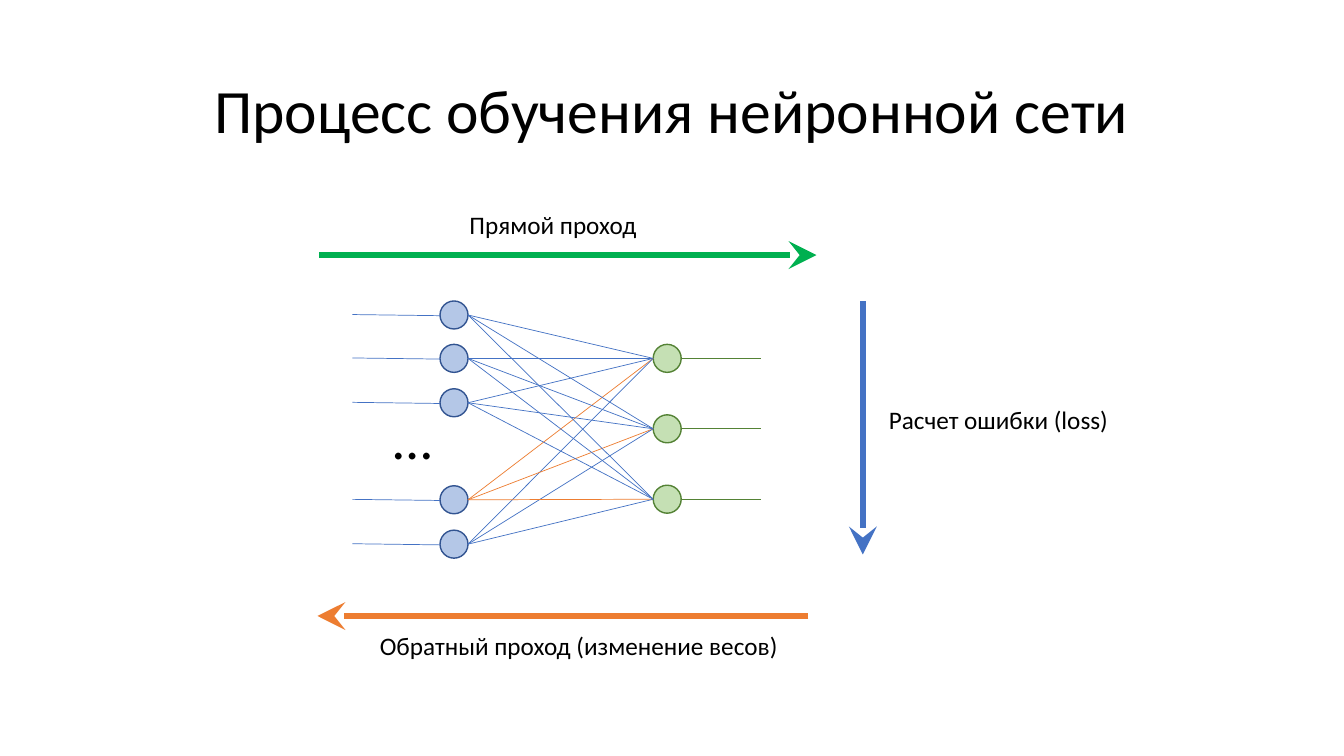
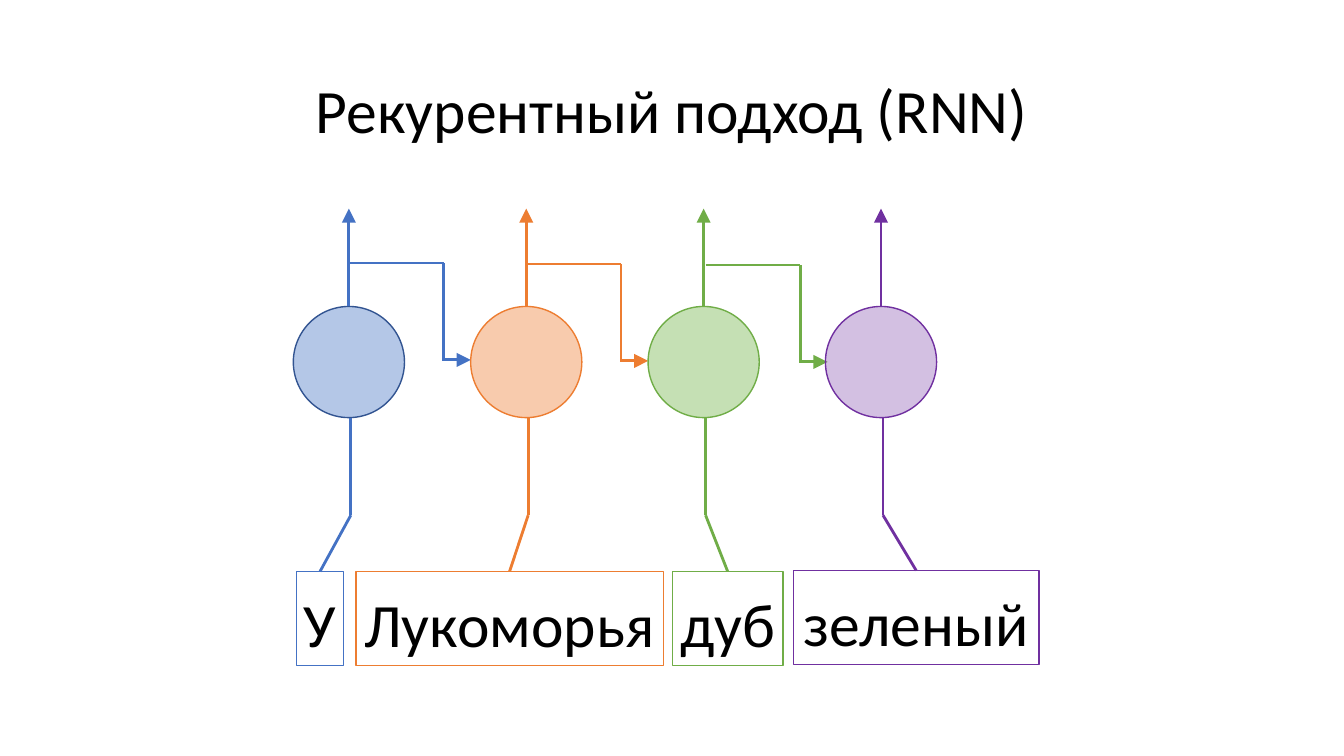
from dataclasses import dataclass
from typing import Any

from lxml.etree import SubElement as Sub
from pptx import Presentation as Deck
from pptx.dml.color import RGBColor as Rgb
from pptx.enum.shapes import MSO_CONNECTOR as Link, MSO_SHAPE as Kind
from pptx.enum.text import MSO_ANCHOR as Anchor, MSO_AUTO_SIZE as Fit, PP_ALIGN as Align
from pptx.oxml.ns import qn
from pptx.util import Inches, Pt

WIDE, HIGH = Inches(13.333), Inches(7.5)
COLS, ROWS = 96, 54


@dataclass(frozen=True)
class Theme:
    """Colours, font and type sizes."""

    font: str = "Calibri"
    ink: str = "000000"
    blue: str = "4472C4"
    navy: str = "325491"
    sky: str = "B4C7E7"
    orange: str = "ED7D31"
    peach: str = "F8CBAD"
    green: str = "70AD47"
    moss: str = "548235"
    mint: str = "C5E0B4"
    go: str = "00B050"
    purple: str = "7030A0"
    big: int = 44
    dots: int = 40
    small: int = 18


@dataclass(frozen=True)
class Box:
    """A place in grid columns and rows."""

    x: float
    y: float
    w: float
    h: float

    def emu(self) -> tuple[int, int, int, int]:
        """Return left, top, width and height in EMU."""
        return col(self.x), row(self.y), col(self.w), row(self.h)


@dataclass(frozen=True)
class Pass:
    """A training phase: a thick arrow and its label."""

    text: str
    start: tuple[float, float]
    end: tuple[float, float]
    tone: str
    label: Box
    wrap: bool = False


@dataclass(frozen=True)
class Cell:
    """A recurrent cell with the word it reads."""

    word: str
    tone: str
    edge: str
    fill: str
    box: Box
    alpha: int = 100
    shift: float = 0


T = Theme()

PASSES = (
    Pass("Прямой проход", (22.82, 18.22), (58.32, 18.22), T.go, Box(32.83, 14.62, 13.54, 2.88)),
    Pass("Обратный проход (изменение весов)", (57.74, 44), (22.68, 44), T.orange,
         Box(26.42, 44.64, 30.24, 2.88)),
    Pass("Расчет ошибки (loss)", (61.63, 21.53), (61.63, 39.6), T.blue,
         Box(62.78, 28.5, 17.5, 2.88), True),
)

CELLS = (
    Cell("У", T.blue, T.navy, T.sky, Box(21.17, 40.82, 3.38, 6.7)),
    Cell("Лукоморья", T.orange, T.orange, T.peach, Box(25.42, 40.82, 21.96, 6.7)),
    Cell("дуб", T.green, T.green, T.mint, Box(48.02, 40.82, 7.92, 6.7), shift=0.14),
    Cell("зеленый", T.purple, T.purple, T.purple, Box(56.66, 40.75, 17.57, 6.7), alpha=30),
)


def col(n: float) -> int:
    """Turn grid columns into EMU."""
    return round(WIDE * n / COLS)


def row(n: float) -> int:
    """Turn grid rows into EMU."""
    return round(HIGH * n / ROWS)


def write(frame: Any, text: str, *, size: int, align: Any = Align.LEFT, anchor: Any = Anchor.TOP,
          wrap: bool = True, fit: Any = Fit.NONE, space: float = 1) -> None:
    """Fill a text frame with one formatted paragraph."""
    frame.word_wrap = wrap
    frame.auto_size = fit
    frame.vertical_anchor = anchor
    para = frame.paragraphs[0]
    para.alignment = align
    para.line_spacing = space
    run = para.add_run()
    run.text = text
    run.font.name = T.font
    run.font.size = Pt(size)
    run.font.color.rgb = Rgb.from_string(T.ink)


def note(slide: Any, text: str, box: Box, **form: Any) -> None:
    """Add a text box."""
    write(slide.shapes.add_textbox(*box.emu()).text_frame, text, fit=Fit.SHAPE_TO_FIT_TEXT, **form)


def shape(slide: Any, kind: Any, box: Box, edge: str, fill: str = "", alpha: int = 100) -> Any:
    """Add an outlined shape, filled if a colour is given."""
    item = slide.shapes.add_shape(kind, *box.emu())
    item.shadow.inherit = False
    item.line.color.rgb = Rgb.from_string(edge)
    item.line.width = Pt(1)
    if not fill:
        item.fill.background()
        return item
    item.fill.solid()
    item.fill.fore_color.rgb = Rgb.from_string(fill)
    if alpha < 100:
        tint = item.element.spPr.find(qn("a:solidFill")).find(qn("a:srgbClr"))
        Sub(tint, qn("a:alpha"), val=str(alpha * 1000))
    return item


def line(slide: Any, start: tuple[float, float], end: tuple[float, float], tone: str,
         width: float, head: str = "", top: Any = None) -> None:
    """Draw a straight line, with an arrowhead or joined to a shape's top if asked."""
    (x, y), (u, v) = start, end
    link = slide.shapes.add_connector(Link.STRAIGHT, col(x), row(y), col(u), row(v))
    link.line.color.rgb = Rgb.from_string(tone)
    link.line.width = Pt(width)
    if head:
        Sub(link.line._get_or_add_ln(), qn("a:tailEnd"), type=head, w="lg", len="lg")
    Sub(link.element.spPr, qn("a:effectLst"))
    if top is not None:
        link.begin_connect(top, 0)


def page(deck: Any, title: str) -> Any:
    """Add a title-only slide."""
    slide = deck.slides.add_slide(deck.slide_layouts[5])
    head = slide.shapes.title
    head.left, head.top, head.width, head.height = Box(6.6, 2.88, 82.8, 10.44).emu()
    write(head.text_frame, title, size=T.big, align=Align.CENTER, anchor=Anchor.MIDDLE, space=0.9)
    return slide


def train(deck: Any) -> None:
    """Build the slide on the training process."""
    slide = page(deck, "Процесс обучения нейронной сети")
    size, left, right = 2, 31.43, 46.66
    ins = (22.5, 25.6, 28.77, 35.7, 38.87)
    outs = [25.6 + 5.03 * i for i in range(3)]
    for y in ins:
        shape(slide, Kind.OVAL, Box(left, y - size / 2, size, size), T.navy, T.sky)
        line(slide, (left, y + 0.05), (25.17, y - 0.03), T.blue, 0.5)
    for y in outs:
        shape(slide, Kind.OVAL, Box(right, y - size / 2, size, size), T.moss, T.mint)
        line(slide, (right + size, y), (54.36, y), T.moss, 0.5)
        for i, z in enumerate(ins):
            tone = T.orange if i == 3 else T.blue
            line(slide, (left + size, z), (right, y), tone, 0.5)
    note(slide, "…", Box(26.35, 28.5, 6.26, 5.54), size=T.dots, align=Align.CENTER)
    for p in PASSES:
        line(slide, p.start, p.end, p.tone, 4, "stealth")
        note(slide, p.text, p.label, size=T.small, wrap=p.wrap)


def recur(deck: Any) -> None:
    """Build the slide on the recurrent approach."""
    slide = page(deck, "Рекурентный подход (RNN)")
    size, left, top, pitch, knee = 7.94, 20.95, 21.89, 12.67, 36.8
    for i, c in enumerate(CELLS):
        x = left + pitch * i
        mid = x + size / 2
        ball = shape(slide, Kind.OVAL, Box(x, top, size, size), c.edge, c.fill, c.alpha)
        line(slide, (mid, top), (mid, 14.9), c.tone, 2, "triangle", ball)
        stem = mid + 0.14
        line(slide, (stem, knee), (stem, top + size), c.tone, 2)
        word = shape(slide, Kind.RECTANGLE, c.box, c.tone)
        frame = word.text_frame
        frame.margin_left = frame.margin_right = frame.margin_bottom = 0
        frame.margin_top = row(0.6)
        write(frame, c.word, size=T.big, align=Align.CENTER, anchor=Anchor.MIDDLE, wrap=False)
        line(slide, (c.box.x + c.box.w / 2, c.box.y), (stem, knee), c.tone, 2, top=word)
        if i < len(CELLS) - 1:
            start, high = mid + c.shift, 18.79 + 0.07 * i
            turn, low = start + 6.77, high + 6.92
            line(slide, (start, high), (turn, high), c.tone, 2)
            line(slide, (turn, low + 0.07), (turn, high), c.tone, 2)
            line(slide, (turn, low), (turn + 1.94, low), c.tone, 2, "triangle")


def main() -> None:
    """Build and save the deck."""
    deck = Deck()
    deck.slide_width, deck.slide_height = WIDE, HIGH
    train(deck)
    recur(deck)
    deck.save("out.pptx")


if __name__ == "__main__":
    main()
